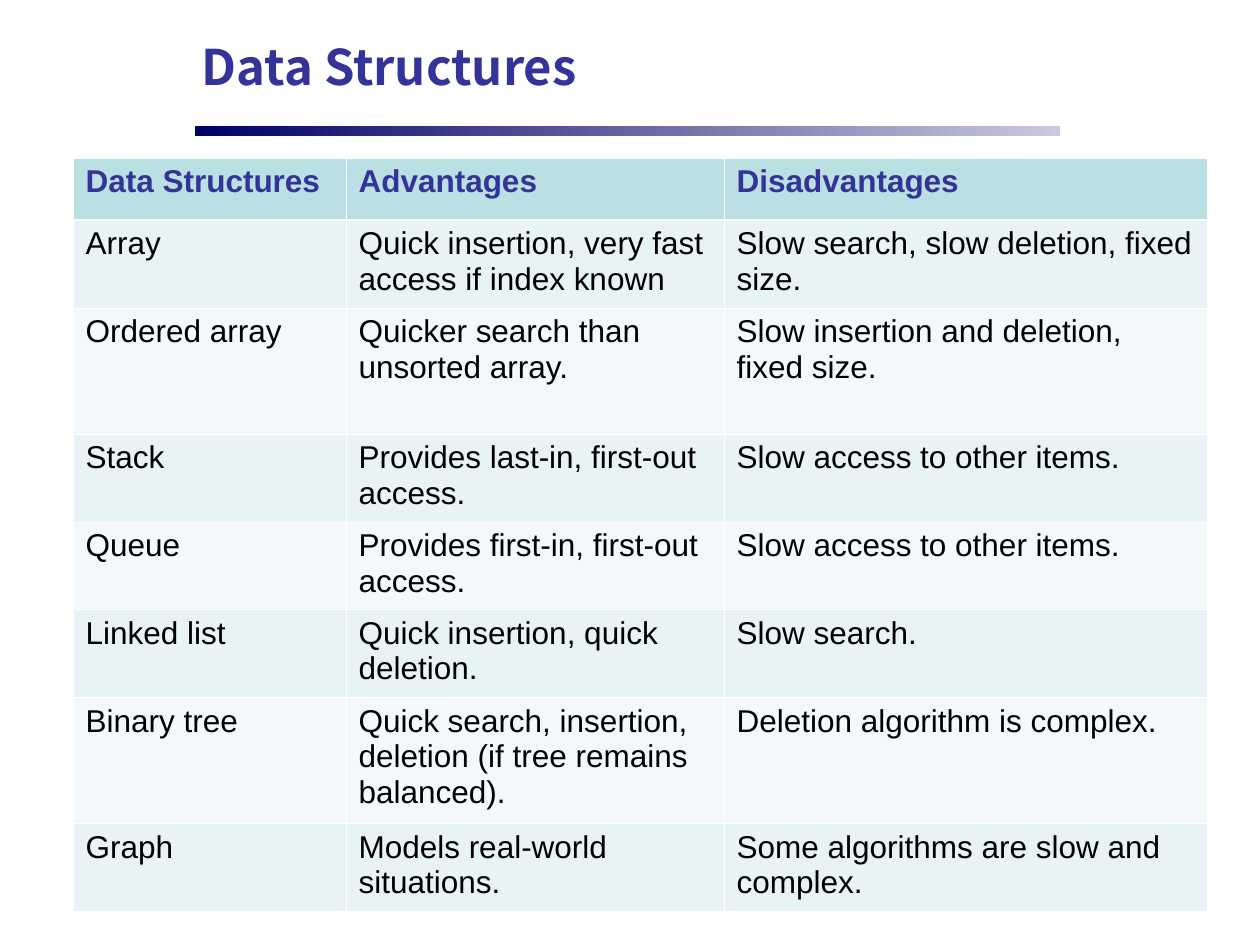
from dataclasses import dataclass

from lxml.etree import SubElement
from pptx import Presentation
from pptx.dml.color import RGBColor
from pptx.enum.shapes import MSO_SHAPE
from pptx.enum.text import MSO_ANCHOR, MSO_AUTO_SIZE, PP_ALIGN
from pptx.oxml.ns import qn
from pptx.util import Emu, Pt

SCALE = 914400 / 126  # EMU in one px


def px(n):
    return Emu(round(n * SCALE))


@dataclass(frozen=True)
class Theme:
    ink: str = "000000"
    head: str = "333399"
    bar: tuple = ("000066", "C9C9DF")
    top: str = "BBE0E3"
    bands: tuple = ("E7F3F4", "F3F9FA")
    rule: str = "FFFFFF"
    thin: float = 0.45
    thick: float = 1.47
    big: int = 28
    body: int = 18
    title: str = "Noto Sans CJK SC"
    font: str = "Arial"


def write(frame, text, *, size, font, color, bold=False, space=1.0):
    """Fill a text frame, one paragraph for each line of text."""
    frame.word_wrap = True
    frame.text = text
    for para in frame.paragraphs:
        para.alignment = PP_ALIGN.LEFT
        para.line_spacing = space
        for run in para.runs:
            run.font.size = Pt(size)
            run.font.name = font
            run.font.bold = bold
            run.font.color.rgb = RGBColor.from_string(color)


def edge(cell, side, color, width):
    """Draw one border of a cell; call before the cell is filled."""
    line = SubElement(cell._tc.get_or_add_tcPr(), qn(f"a:ln{side}"), w=str(Pt(width)))
    SubElement(SubElement(line, qn("a:solidFill")), qn("a:srgbClr"), val=color)


class Deck:
    def __init__(self, theme, wide, high):
        self.theme = theme
        self.file = Presentation()
        self.file.slide_width, self.file.slide_height = px(wide), px(high)
        self.slide = self.file.slides.add_slide(self.file.slide_layouts[5])

    def title(self, text, x, y, w, h):
        look, box = self.theme, self.slide.shapes.title
        box.left, box.top, box.width, box.height = map(px, (x, y, w, h))
        frame = box.text_frame
        frame.auto_size = MSO_AUTO_SIZE.NONE
        frame.vertical_anchor = MSO_ANCHOR.MIDDLE
        frame.margin_top = frame.margin_bottom = 0
        write(frame, text, size=look.big, font=look.title, color=look.head,
              bold=True, space=0.85)

    def bar(self, x, y, w, h):
        box = self.slide.shapes.add_shape(MSO_SHAPE.RECTANGLE, *map(px, (x, y, w, h)))
        box.shadow.inherit = False
        box.line.fill.background()
        box.fill.gradient()
        box.fill.gradient_angle = 0
        for pos, (stop, color) in enumerate(zip(box.fill.gradient_stops, self.theme.bar)):
            stop.position = pos
            stop.color.rgb = RGBColor.from_string(color)

    def table(self, data, x, y, cols, rows):
        grid = self.slide.shapes.add_table(
            len(rows), len(cols), *map(px, (x, y, sum(cols), sum(rows)))).table
        grid.horz_banding = False
        for col, wide in zip(grid.columns, cols):
            col.width = px(wide)
        for r, (row, high) in enumerate(zip(grid.rows, rows)):
            row.height = px(high)
            for cell, text in zip(row.cells, data[r]):
                self.cell(cell, text, r)

    def cell(self, cell, text, r):
        look, first = self.theme, r == 0
        # The rule under the header row is thicker
        edge(cell, "L", look.rule, look.thin)
        edge(cell, "R", look.rule, look.thin)
        edge(cell, "T", look.rule, look.thick if r == 1 else look.thin)
        edge(cell, "B", look.rule, look.thick if first else look.thin)
        cell.fill.solid()
        fill = look.top if first else look.bands[(r - 1) % 2]
        cell.fill.fore_color.rgb = RGBColor.from_string(fill)
        write(cell.text_frame, text, size=look.body, font=look.font,
              color=look.head if first else look.ink, bold=first)

    def save(self):
        self.file.save("out.pptx")


DATA = [
    ("Data Structures", "Advantages", "Disadvantages"),
    ("Array", "Quick insertion, very fast\naccess if index known",
     "Slow search, slow deletion, fixed\nsize."),
    ("Ordered array", "Quicker search than\nunsorted array.",
     "Slow insertion and deletion, fixed size."),
    ("Stack", "Provides last-in, first-out\naccess.", "Slow access to other items."),
    ("Queue", "Provides first-in, first-out\naccess.", "Slow access to other items."),
    ("Linked list", "Quick insertion, quick\ndeletion.", "Slow search."),
    ("Binary tree", "Quick search, insertion,\ndeletion (if tree remains\nbalanced).",
     "Deletion algorithm is complex."),
    ("Graph", "Models real-world\nsituations.", "Some algorithms are slow and\ncomplex."),
]


def main():
    deck = Deck(Theme(), 1260, 945)

    # Heading and the bar below it
    deck.bar(195, 126, 865, 10)
    deck.title("Data Structures", 189, 6, 882, 129)

    # Comparison table: two-line rows, with two taller ones
    low, tall = 88, 126
    deck.table(DATA, 73, 158, cols=(273, 378, 483),
               rows=(62, low, tall, low, low, low, tall, low))
    deck.save()


if __name__ == "__main__":
    main()
